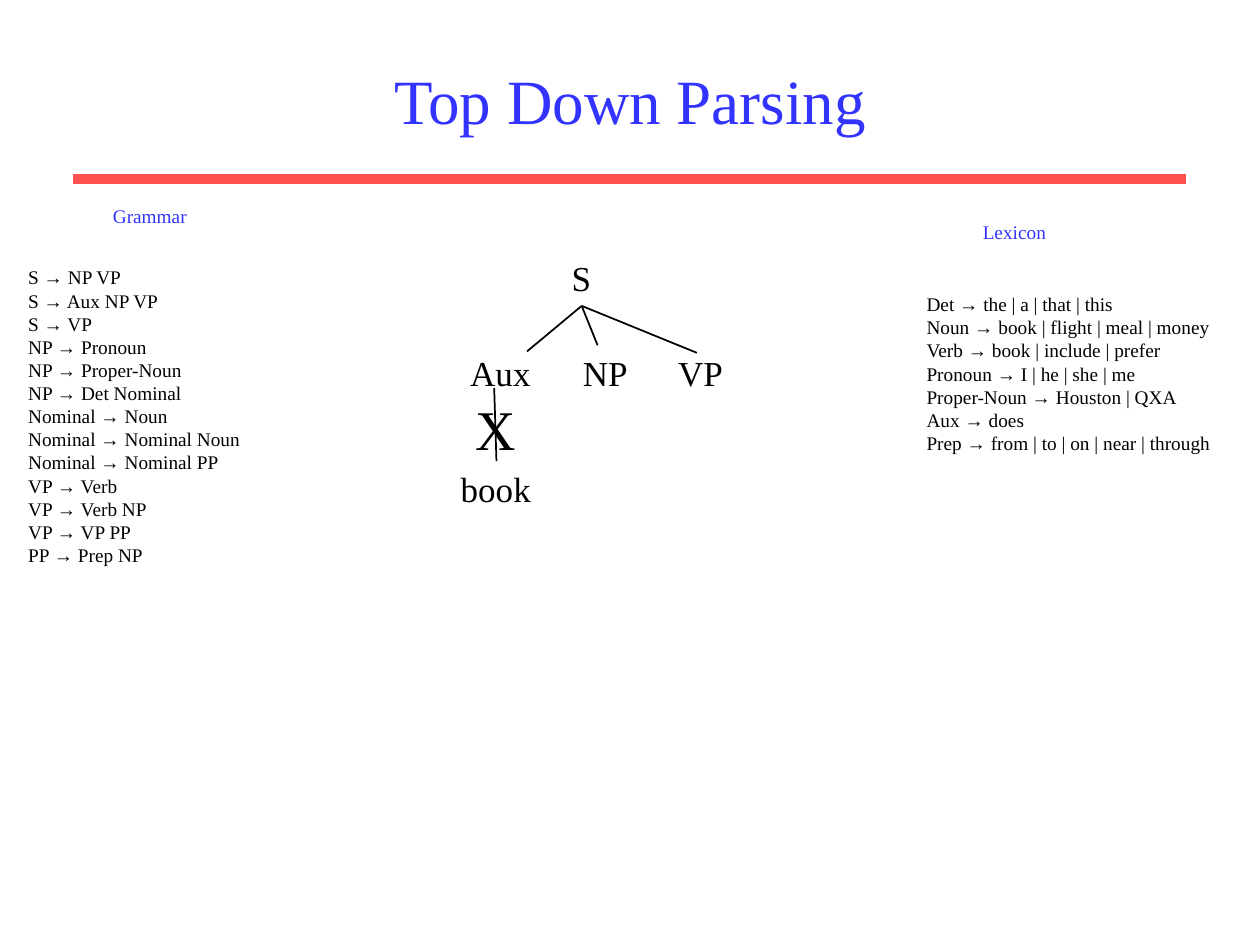
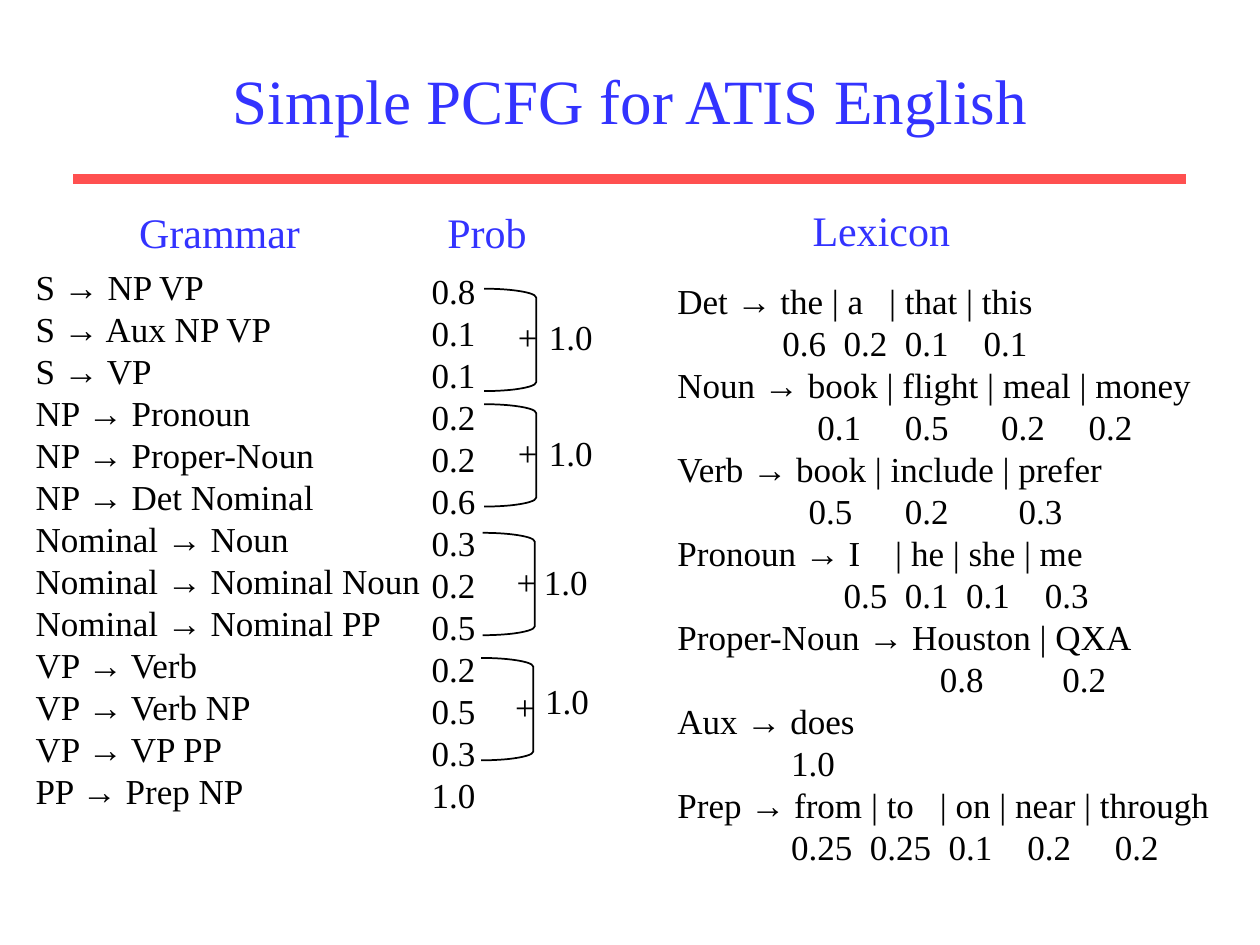
from pptx import Presentation
from pptx.dml.color import RGBColor
from pptx.enum import shapes, text
from pptx.oxml.ns import qn
from pptx.util import Pt
from lxml import etree

BLUE = RGBColor(0x33, 0x33, 0xFF)
RED = RGBColor(0xFF, 0x50, 0x50)
BLACK = RGBColor(0, 0, 0)
FONT = "Times New Roman"

GRAMMAR = [
    ("S → NP VP", "0.8"),
    ("S → Aux NP VP", "0.1"),
    ("S → VP", "0.1"),
    ("NP → Pronoun", "0.2"),
    ("NP → Proper-Noun", "0.2"),
    ("NP → Det Nominal", "0.6"),
    ("Nominal → Noun", "0.3"),
    ("Nominal → Nominal Noun", "0.2"),
    ("Nominal → Nominal PP", "0.5"),
    ("VP → Verb", "0.2"),
    ("VP → Verb NP", "0.5"),
    ("VP → VP PP", "0.3"),
    ("PP → Prep NP", "1.0"),
]
RULES = [rule for rule, prob in GRAMMAR]
PROBS = [prob for rule, prob in GRAMMAR]

LEXICON = [
    "Det → the | a | that | this",
    "Noun → book | flight | meal | money",
    "Verb → book | include | prefer",
    "Pronoun → I | he | she | me",
    "Proper-Noun → Houston | QXA",
    "Aux → does",
    "Prep → from | to | on | near | through",
]
WIDE_BARS = {"Det": ("a |", "a\t|", 121), "Pronoun": ("I |", "I\t|", 124.5),
             "Prep": ("to |", "to\t|", 150)}
WORD_PROBS = [
    [(60, "0.6"), (95, "0.2"), (130, "0.1"), (175, "0.1")],
    [(80, "0.1"), (130, "0.5"), (185, "0.2"), (235, "0.2")],
    [(75, "0.5"), (130, "0.2"), (195, "0.3")],
    [(95, "0.5"), (130, "0.1"), (165, "0.1"), (210, "0.3")],
    [(150, "0.8"), (220, "0.2")],
    [(65, "1.0")],
    [(65, "0.25"), (110, "0.25"), (155, "0.1"), (200, "0.2"), (250, "0.2")],
]


def add_run(p, content, size, color):
    """Add one run in the deck's font."""
    r = p.add_run()
    r.text = content
    r.font.name = FONT
    r.font.size = Pt(size)
    r.font.color.rgb = color


def set_tabs(p, stops):
    """Give a paragraph left tab stops."""
    tabs = etree.SubElement(p._p.get_or_add_pPr(), qn("a:tabLst"))
    for stop in stops:
        etree.SubElement(tabs, qn("a:tab"), pos=str(Pt(stop)), algn="l")


def add_text(s, box, lines, size=20, color=BLACK):
    """Add a text box; each line is a string or a (string, tab stops) pair."""
    sp = s.shapes.add_textbox(*map(Pt, box))
    tf = sp.text_frame
    tf.word_wrap = True
    for i, line in enumerate(lines):
        content, stops = (line, ()) if isinstance(line, str) else line
        p = tf.paragraphs[0] if i == 0 else tf.add_paragraph()
        if stops:
            set_tabs(p, stops)
        add_run(p, content, size, color)
    return sp


def add_line(s, x1, y1, x2, y2, color=BLACK, width=1):
    """Add a straight line without shadow."""
    line = s.shapes.add_connector(shapes.MSO_CONNECTOR.STRAIGHT, Pt(x1), Pt(y1), Pt(x2), Pt(y2))
    line.line.color.rgb = color
    line.line.width = Pt(width)
    etree.SubElement(line.element.spPr, qn("a:effectLst"))
    return line


def add_titled_slide(prs, title):
    """Add a slide with its title and the red rule below it."""
    s = prs.slides.add_slide(prs.slide_layouts[5])
    add_line(s, 42, 102.25, 678, 102.25, RED, 6)
    sp = s.shapes.title
    sp.left, sp.top, sp.width, sp.height = Pt(54), Pt(18), Pt(612), Pt(78)
    tf = sp.text_frame
    tf.vertical_anchor = text.MSO_ANCHOR.MIDDLE
    p = tf.paragraphs[0]
    p.alignment = text.PP_ALIGN.CENTER
    add_run(p, title, 36, BLUE)
    return s


def add_parse_tree(s, x, y):
    """Draw the failed parse of "book" from a top-left corner."""
    root = add_text(s, (x + 63.4, y, 25.6, 31.5), ["S"])
    for label, left, width, end_x, end_y in (("Aux", 5.4, 52, 45, 57.5),
                                             ("NP", 69.8, 44, 85.3, 54),
                                             ("VP", 124.2, 44, 142, 58.3)):
        add_text(s, (x + left, y + 54, width, 31.5), [label])
        branch = add_line(s, x + 76, y + 31.5, x + end_x, y + end_y)
        branch.begin_connect(root, 2)
    word = add_text(s, (x, y + 120.2, 55, 31.5), ["book"])
    leaf = add_line(s, x + 26.2, y + 78.5, x + 27.5, y + 120.2)
    leaf.end_connect(word, 0)
    add_text(s, (x + 8.2, y + 78.5, 38, 46), ["X"], 32)


def add_sum_bracket(s, x, y, sum_x, sum_y):
    """Bracket three probabilities and show their sum at an offset."""
    sp = s.shapes.add_shape(shapes.MSO_SHAPE.RIGHT_BRACKET, Pt(x), Pt(y), Pt(29.8), Pt(58.5))
    sp.adjustments[0] = 0.17
    sp.shadow.inherit = False
    sp.fill.background()
    sp.line.color.rgb = BLACK
    sp.line.width = Pt(1)
    add_text(s, (x + 12.3, y + 12, 28, 31.5), ["+"])
    add_text(s, (x + sum_x, y + sum_y, 42, 31.5), ["1.0"])


def weighted_lexicon():
    """Return each lexicon rule followed by its tabbed probabilities."""
    lines = []
    for entry, probs in zip(LEXICON, WORD_PROBS):
        tight, wide, stop = WIDE_BARS.get(entry.split()[0], ("", "", None))
        lines.append((entry.replace(tight, wide), [stop]) if stop else entry)
        lines.append(("".join("\t" + prob for _, prob in probs), [at for at, _ in probs]))
    return lines


def build_top_down(prs):
    """Build the parsing slide: grammar, tree and lexicon."""
    s = add_titled_slide(prs, "Top Down Parsing")
    add_parse_tree(s, 256.2, 143.3)
    add_text(s, (9, 148.3, 137, 179), RULES, 11)
    add_text(s, (522.4, 163.6, 186, 100), LEXICON, 11)
    add_text(s, (57.4, 113.2, 62, 21), ["Grammar"], 11, BLUE)
    add_text(s, (554.5, 122.4, 56, 21), ["Lexicon"], 11, BLUE)


def build_pcfg(prs):
    """Build the PCFG slide: weighted grammar and lexicon."""
    s = add_titled_slide(prs, "Simple PCFG for ATIS English")
    add_text(s, (13.2, 148.3, 245, 320), RULES)
    add_text(s, (239.6, 150.5, 42, 320), PROBS)
    for bracket in ((276.6, 165, 30, 12), (276.6, 231, 30, 12),
                    (275.8, 304.5, 28, 12), (275, 376, 29.5, 8.5)):
        add_sum_bracket(s, *bracket)
    add_text(s, (380, 156.3, 340, 343), weighted_lexicon())
    for label, x, y, width in (("Grammar", 72.4, 114.6, 112), ("Prob", 248.6, 114.3, 64),
                               ("Lexicon", 457.2, 113.6, 98)):
        add_text(s, (x, y, width, 36), [label], 24, BLUE)


def main():
    """Build and save the deck."""
    prs = Presentation()
    prs.slide_width, prs.slide_height = Pt(720), Pt(540)
    build_top_down(prs)
    build_pcfg(prs)
    prs.save("out.pptx")


if __name__ == "__main__":
    main()
